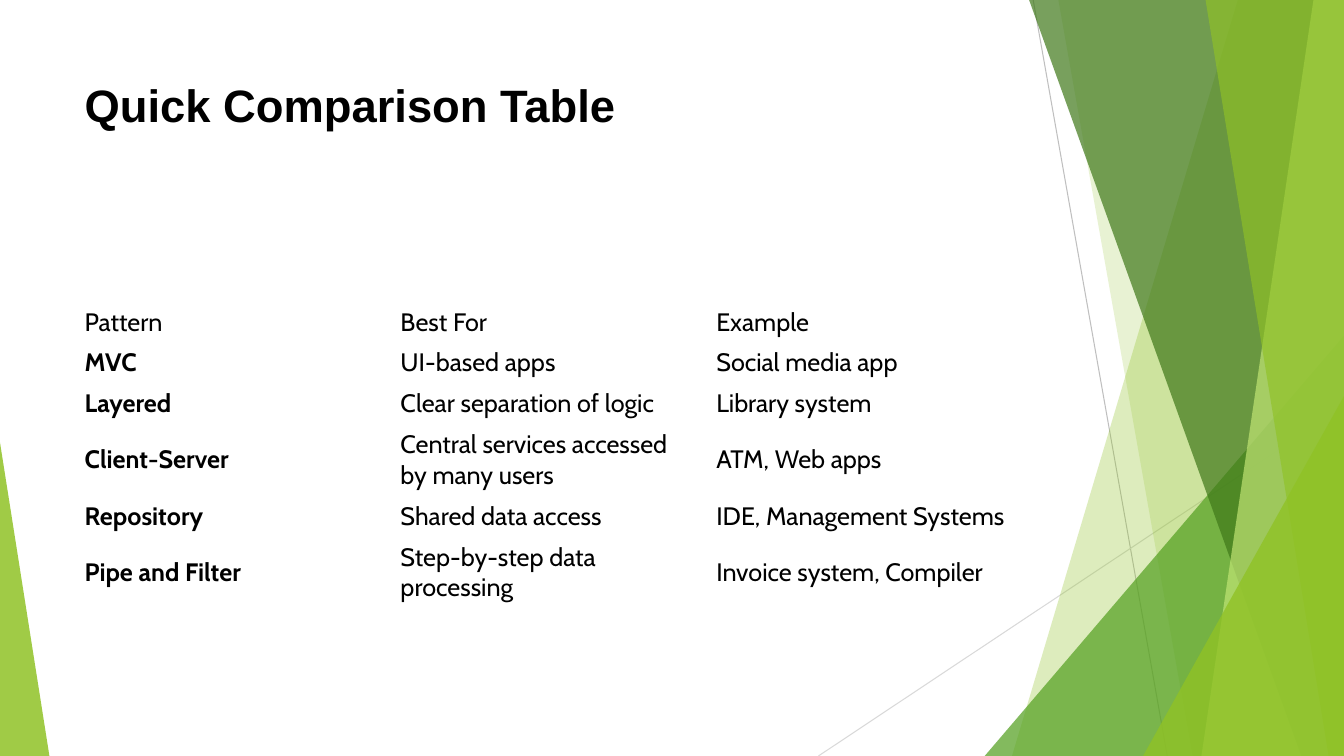
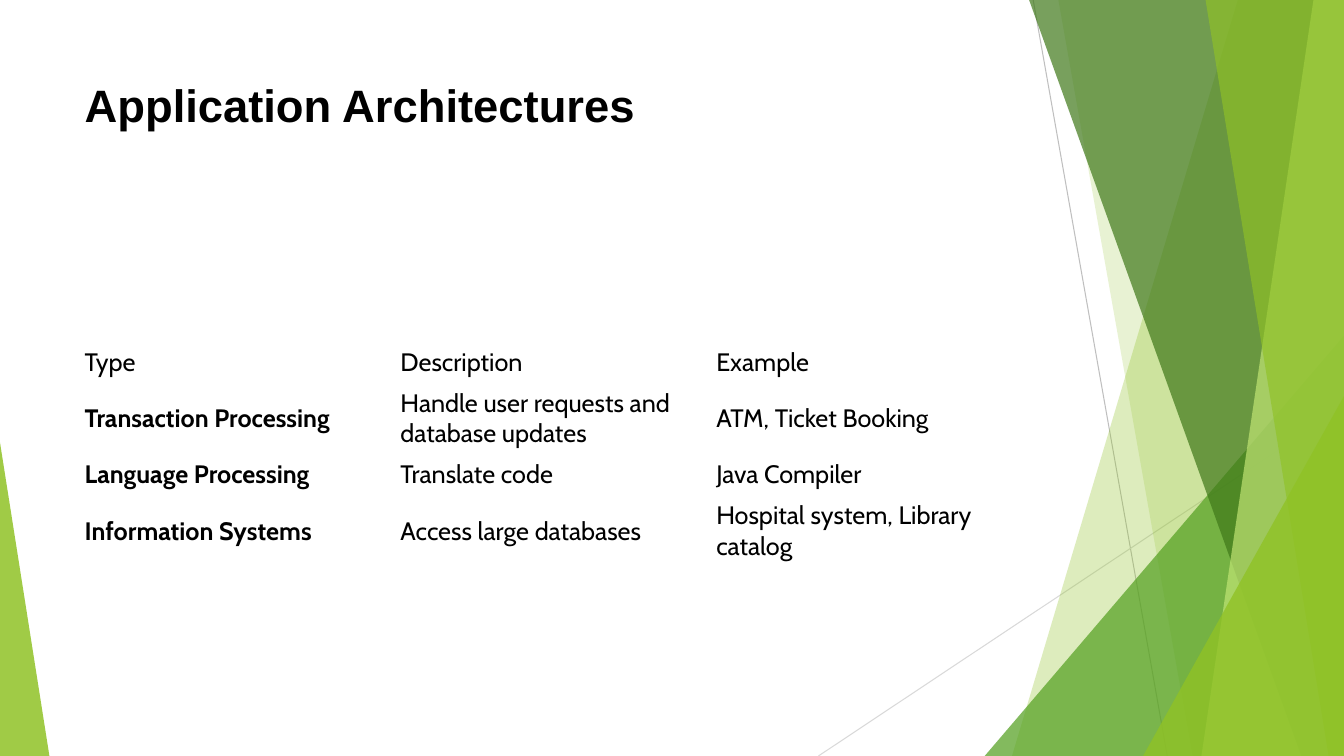
from lxml import etree
from pptx import Presentation
from pptx.dml.color import RGBColor
from pptx.enum.shapes import MSO_CONNECTOR, MSO_SHAPE
from pptx.enum.text import MSO_ANCHOR, MSO_AUTO_SIZE, PP_ALIGN
from pptx.oxml.ns import qn
from pptx.util import Pt

STRAIGHT = MSO_CONNECTOR.STRAIGHT
TRIANGLE = MSO_SHAPE.ISOSCELES_TRIANGLE
TOP, MIDDLE = MSO_ANCHOR.TOP, MSO_ANCHOR.MIDDLE
NO_AUTOFIT = MSO_AUTO_SIZE.NONE
LEFT = PP_ALIGN.LEFT

# Shared look, lengths in points
BLACK = RGBColor(0x00, 0x00, 0x00)
LIME = RGBColor(0x90, 0xC2, 0x26)
PALE_LIME = RGBColor(0xC0, 0xE4, 0x74)
GREEN = RGBColor(0x54, 0xA0, 0x21)
DARK_GREEN = RGBColor(0x3F, 0x78, 0x19)
GREY = RGBColor(0xBF, 0xBF, 0xBF)
LIGHT_GREY = RGBColor(0xD9, 0xD9, 0xD9)
TITLE_FONT, BODY_FONT = "Arial", "Cabin"
SLIDE_W, SLIDE_H = 960, 540
MARGIN_LEFT, CONTENT_W = 53.3, 676.8
TABLE_CENTRE_Y = 323.4
ROW_HEIGHTS = {1: 28.8, 2: 50.4}  # by number of text lines
TITLE_ONLY = 5

# Each row: number of text lines, then its cells
PATTERNS = [
    (1, "Pattern", "Best For", "Example"),
    (1, "MVC", "UI-based apps", "Social media app"),
    (1, "Layered", "Clear separation of logic", "Library system"),
    (2, "Client-Server", "Central services accessed by many users", "ATM, Web apps"),
    (1, "Repository", "Shared data access", "IDE, Management Systems"),
    (2, "Pipe and Filter", "Step-by-step data processing", "Invoice system, Compiler"),
]
ARCHITECTURES = [
    (1, "Type", "Description", "Example"),
    (2, "Transaction Processing", "Handle user requests and database updates",
     "ATM, Ticket Booking"),
    (1, "Language Processing", "Translate code", "Java Compiler"),
    (2, "Information Systems", "Access large databases",
     "Hospital system, Library catalog"),
]


def style_font(font, name, size, bold):
    font.name, font.size, font.bold = name, Pt(size), bold
    font.color.rgb = BLACK


def paint(shape, color, opacity):
    """Fill a shape with a see-through colour, without outline or shadow."""
    shape.shadow.inherit = False
    shape.fill.solid()
    shape.fill.fore_color.rgb = color
    shape.line.fill.background()
    fill_color = shape.element.find(".//" + qn("a:srgbClr"))
    etree.SubElement(fill_color, qn("a:alpha")).set("val", str(opacity * 1000))


def add_hairline(slide, start, end, color):
    line = slide.shapes.add_connector(STRAIGHT, *map(Pt, start + end))
    line.line.color.rgb = color
    line.line.width = Pt(0.75)
    etree.SubElement(line.element.find(qn("p:spPr")), qn("a:effectLst"))


def add_band(slide, top_x, bottom_x, color, opacity):
    """Add a full-height band from a slanted left edge to the slide's right edge."""
    outline = slide.shapes.build_freeform(Pt(top_x), 0, scale=1.0)
    corners = [(SLIDE_W, 0), (SLIDE_W, SLIDE_H), (bottom_x, SLIDE_H)]
    outline.add_line_segments([(Pt(x), Pt(y)) for x, y in corners], close=True)
    paint(outline.convert_to_shape(), color, opacity)


def add_corner(slide, left, top, width, apex, color, opacity):
    """Add a right triangle standing on the slide's bottom edge."""
    corner = slide.shapes.add_shape(
        TRIANGLE, Pt(left), Pt(top), Pt(width), Pt(SLIDE_H - top))
    corner.adjustments[0] = apex
    paint(corner, color, opacity)


def add_decoration(slide):
    add_hairline(slide, (738, 0), (833.8, SLIDE_H), GREY)
    add_hairline(slide, (SLIDE_W, 290.2), (584.6, SLIDE_H), LIGHT_GREY)
    add_band(slide, 884.2, 722.9, LIME, 30)
    add_band(slide, 756, 851.8, LIME, 20)
    add_corner(slide, 703.4, 239.8, SLIDE_W - 703.4, 1, GREEN, 72)
    add_band(slide, 735.1, 929.5, DARK_GREEN, 70)
    add_band(slide, 938.2, 858.2, PALE_LIME, 70)
    add_band(slide, 861.1, 949, LIME, 65)
    add_corner(slide, 816.5, 283, SLIDE_W - 816.5, 1, LIME, 80)
    add_corner(slide, 0, 316.1, 35.3, 0, LIME, 85)


def set_title(slide, text):
    title = slide.shapes.title
    title.left, title.top = Pt(MARGIN_LEFT), Pt(48)
    title.width, title.height = Pt(CONTENT_W), Pt(104)
    frame = title.text_frame
    frame.text = text
    frame.word_wrap = True
    frame.auto_size = NO_AUTOFIT
    frame.vertical_anchor = TOP
    frame.margin_top = Pt(7)
    heading = frame.paragraphs[0]
    heading.alignment = LEFT
    style_font(heading.runs[0].font, TITLE_FONT, 32.4, True)


def add_plain_table(slide, rows):
    """Add an unfilled table, centred on a fixed height, with bold row names."""
    heights = [ROW_HEIGHTS[lines] for lines, *_ in rows]
    total = sum(heights)
    columns = len(rows[0]) - 1
    table = slide.shapes.add_table(
        len(rows), columns, Pt(MARGIN_LEFT), Pt(TABLE_CENTRE_Y - total / 2),
        Pt(CONTENT_W), Pt(total)).table
    table.horz_banding = False
    for r, (_, *texts) in enumerate(rows):
        table.rows[r].height = Pt(heights[r])
        for c, text in enumerate(texts):
            cell = table.cell(r, c)
            cell.fill.background()
            cell.vertical_anchor = MIDDLE
            cell.text_frame.text = text
            is_row_name = r > 0 and c == 0
            style_font(cell.text_frame.paragraphs[0].runs[0].font,
                       BODY_FONT, 18, is_row_name)


def add_table_slide(prs, title, rows):
    slide = prs.slides.add_slide(prs.slide_layouts[TITLE_ONLY])
    add_decoration(slide)
    set_title(slide, title)
    add_plain_table(slide, rows)


def main():
    prs = Presentation()
    prs.slide_width, prs.slide_height = Pt(SLIDE_W), Pt(SLIDE_H)
    add_table_slide(prs, "Quick Comparison Table", PATTERNS)
    add_table_slide(prs, "Application Architectures", ARCHITECTURES)
    prs.save("out.pptx")


if __name__ == "__main__":
    main()
